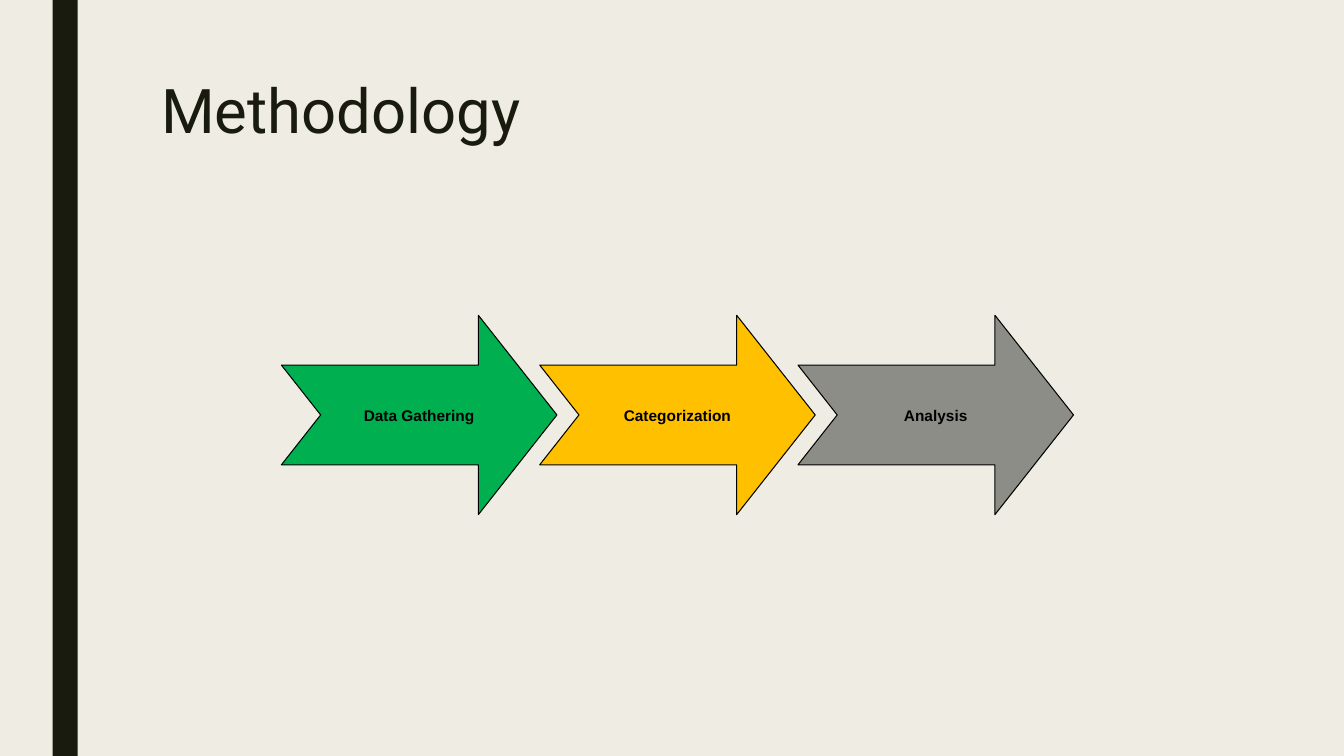
import pptx
import pptx.util
import pptx.dml.color
import pptx.enum.shapes
import pptx.enum.text

Pt = pptx.util.Pt
RGBColor = pptx.dml.color.RGBColor
MSO_SHAPE = pptx.enum.shapes.MSO_SHAPE
PP_ALIGN = pptx.enum.text.PP_ALIGN
MSO_ANCHOR = pptx.enum.text.MSO_ANCHOR

CREAM = RGBColor(0xEF, 0xED, 0xE3)
DARK = RGBColor(0x19, 0x1B, 0x0E)
BLACK = RGBColor(0x00, 0x00, 0x00)
GREEN = RGBColor(0x00, 0xB0, 0x50)
AMBER = RGBColor(0xFF, 0xC0, 0x00)
GRAY = RGBColor(0x8C, 0x8D, 0x86)

TITLE_FONT = {"name": "Roboto", "size": Pt(44)}
STEP_FONT = {"name": "Arial", "size": Pt(11), "bold": True}


def write(tf, text, font, color, spacing, align, anchor):
    tf.word_wrap = True
    tf.vertical_anchor = anchor
    p = tf.paragraphs[0]
    p.alignment = align
    p.line_spacing = spacing
    r = p.add_run()
    r.text = text
    for key, value in font.items():
        setattr(r.font, key, value)
    r.font.color.rgb = color


prs = pptx.Presentation()
prs.slide_width = Pt(960)
prs.slide_height = Pt(540)
s = prs.slides.add_slide(prs.slide_layouts[6])
s.background.fill.solid()
s.background.fill.fore_color.rgb = CREAM

bar = s.shapes.add_shape(MSO_SHAPE.RECTANGLE, Pt(37.5), Pt(0), Pt(18), Pt(540))
bar.shadow.inherit = False
bar.fill.solid()
bar.fill.fore_color.rgb = DARK
bar.line.fill.background()

title = s.shapes.add_textbox(Pt(108), Pt(54), Pt(756), Pt(117))
write(title.text_frame, "Methodology", TITLE_FONT, DARK, 0.89,
      PP_ALIGN.LEFT, MSO_ANCHOR.TOP)

STEPS = [("Data Gathering", GREEN), ("Categorization", AMBER), ("Analysis", GRAY)]
LEFT, PITCH = 201, 184.5

for i, (label, color) in enumerate(STEPS):
    sp = s.shapes.add_shape(MSO_SHAPE.NOTCHED_RIGHT_ARROW,
                            Pt(LEFT + i * PITCH), Pt(225.2), Pt(196.8), Pt(142.4))
    sp.adjustments[0] = 0.5
    sp.adjustments[1] = 0.394
    sp.shadow.inherit = False
    sp.fill.solid()
    sp.fill.fore_color.rgb = color
    sp.line.color.rgb = BLACK
    sp.line.width = Pt(0.75)
    write(sp.text_frame, label, STEP_FONT, BLACK, 1.07,
          PP_ALIGN.CENTER, MSO_ANCHOR.MIDDLE)

prs.save("out.pptx")
